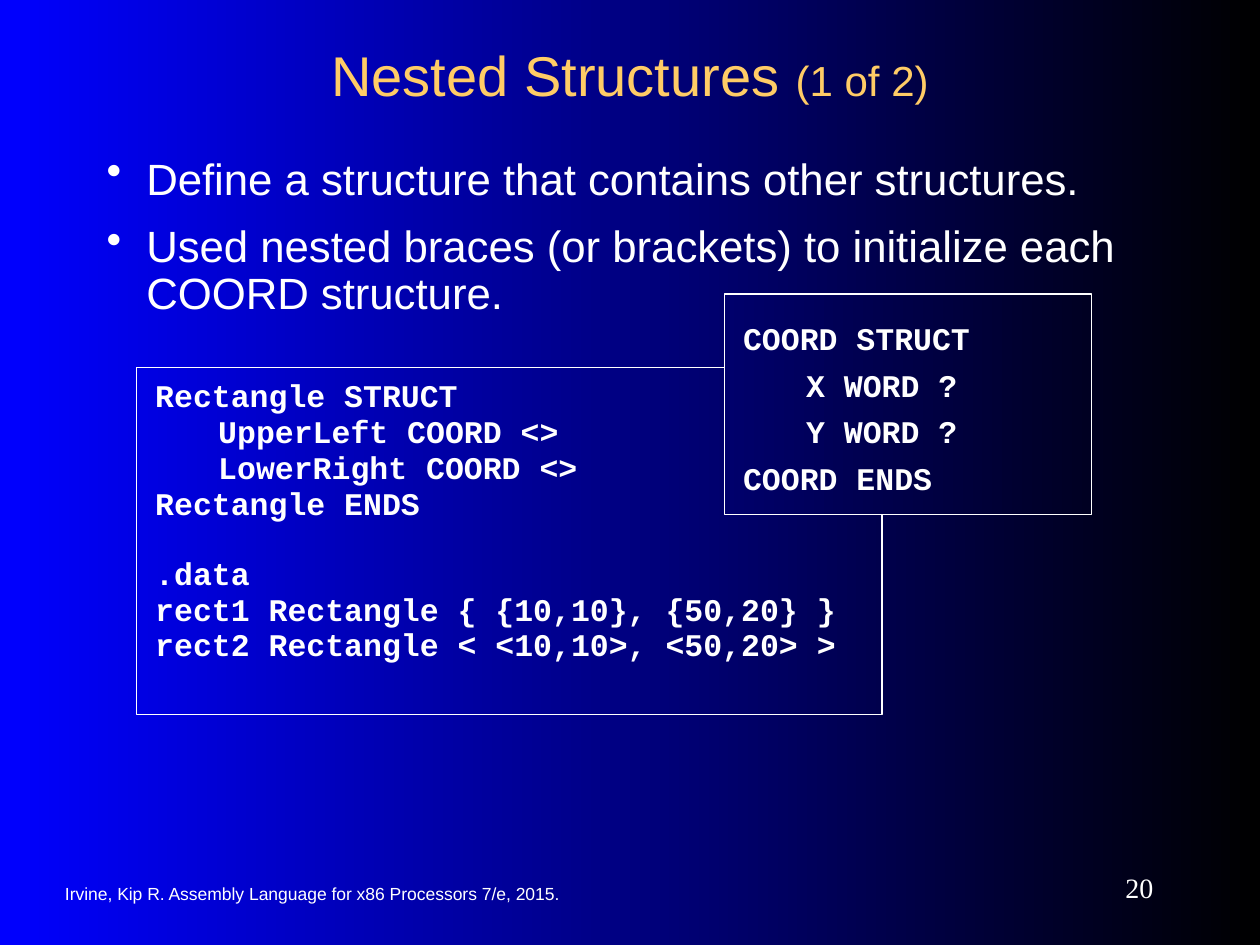
from lxml import etree
from pptx import Presentation
from pptx.dml.color import RGBColor
from pptx.enum.shapes import MSO_SHAPE
from pptx.enum.text import MSO_ANCHOR, MSO_AUTO_SIZE, PP_ALIGN
from pptx.oxml.ns import qn
from pptx.util import Cm, Pt

RECTANGLE = MSO_SHAPE.RECTANGLE
TOP, MIDDLE = MSO_ANCHOR.TOP, MSO_ANCHOR.MIDDLE
LEFT, CENTER, RIGHT = PP_ALIGN.LEFT, PP_ALIGN.CENTER, PP_ALIGN.RIGHT
NO_AUTOFIT = MSO_AUTO_SIZE.NONE
WHITE, GOLD = "FFFFFF", "FFCC66"


def color(hex_string):
    return RGBColor.from_string(hex_string)


def add_run(paragraph, text, size, font_name, hex_string, bold=False):
    run = paragraph.add_run()
    run.text = text
    run.font.size = Pt(size)
    run.font.name = font_name
    run.font.bold = bold
    run.font.color.rgb = color(hex_string)


prs = Presentation()
prs.slide_width, prs.slide_height = Cm(25.4), Cm(19.05)
slide = prs.slides.add_slide(prs.slide_layouts[5])

backdrop = slide.background.fill
backdrop.gradient()
backdrop.gradient_angle = 0
for stop, shade in zip(backdrop.gradient_stops, ("0000FF", "000000")):
    stop.color.rgb = color(shade)

title = slide.shapes.title
title.left, title.top, title.width, title.height = Cm(1.9), Cm(0.64), Cm(21.6), Cm(1.7)
title.text_frame.auto_size = NO_AUTOFIT
title.text_frame.vertical_anchor = MIDDLE
heading = title.text_frame.paragraphs[0]
heading.alignment = CENTER
add_run(heading, "Nested Structures ", 32, "Arial", GOLD)
add_run(heading, "(1 of 2)", 24, "Arial", GOLD)

small_print = [
    ("Irvine, Kip R. Assembly Language for x86 Processors 7/e, 2015.",
     1.06, 17.6, 12.06, 0.84, LEFT, 10, "Arial"),
    ("20", 20.75, 17.35, 2.75, 1.06, RIGHT, 16, "Times New Roman"),
]
for text, left, top, width, height, alignment, size, font_name in small_print:
    frame = slide.shapes.add_textbox(Cm(left), Cm(top), Cm(width), Cm(height)).text_frame
    frame.word_wrap = True
    frame.vertical_anchor = MIDDLE
    frame.paragraphs[0].alignment = alignment
    add_run(frame.paragraphs[0], text, size, font_name, WHITE)

points = [
    ("Define a structure that contains other structures.", 0.7, 0),
    ("Used nested braces (or brackets) to initialize each COORD structure.", 0.9, 12.5),
]
body = slide.shapes.add_textbox(Cm(1.9), Cm(2.96), Cm(21.39), Cm(3.94)).text_frame
body.word_wrap = True
body.margin_top = body.margin_bottom = Cm(0.38)
for index, (text, line_spacing, space_before) in enumerate(points):
    point = body.add_paragraph() if index else body.paragraphs[0]
    properties = point._p.get_or_add_pPr()
    properties.set("marL", str(Cm(0.8)))
    properties.set("indent", str(-Cm(0.8)))
    etree.SubElement(properties, qn("a:buChar")).set("char", "•")
    point.line_spacing = line_spacing
    point.space_before = Pt(space_before)
    add_run(point, text, 25, "Arial", WHITE)

rectangle_code = [
    ("Rectangle STRUCT", 0),
    ("\tUpperLeft COORD <>", 9.6),
    ("\tLowerRight COORD <>", 9.6),
    ("Rectangle ENDS", 9.6),
    (".data", 29.4),
    ("rect1 Rectangle { {10,10}, {50,20} }", 9.6),
    ("rect2 Rectangle < <10,10>, <50,20> >", 9.6),
]
coord_code = [
    ("COORD STRUCT", 0),
    ("\tX WORD ?", 4.9),
    ("\tY WORD ?", 4.9),
    ("COORD ENDS", 4.9),
]
listings = [
    (rectangle_code, 2.75, 7.41, 15.03, 6.99, 0.5, None),
    (coord_code, 14.6, 5.93, 7.41, 4.45, 1.0, ("00006C", "000022")),
]
for code, left, top, width, height, line_spacing, shades in listings:
    listing = slide.shapes.add_shape(RECTANGLE, Cm(left), Cm(top), Cm(width), Cm(height))
    listing.shadow.inherit = False
    listing.line.color.rgb = color(WHITE)
    listing.line.width = Pt(0.75)
    if shades:
        listing.fill.gradient()
        listing.fill.gradient_angle = 0
        for stop, shade in zip(listing.fill.gradient_stops, shades):
            stop.color.rgb = color(shade)
    else:
        listing.fill.background()
    frame = listing.text_frame
    frame.word_wrap = True
    frame.vertical_anchor = TOP
    frame.margin_left = frame.margin_right = Cm(0.38)
    frame.margin_top = frame.margin_bottom = Cm(0.51)
    for index, (text, space_before) in enumerate(code):
        code_line = frame.add_paragraph() if index else frame.paragraphs[0]
        tabs = etree.SubElement(code_line._p.get_or_add_pPr(), qn("a:tabLst"))
        etree.SubElement(tabs, qn("a:tab"), pos=str(Cm(1.27)), algn="l")
        code_line.alignment = LEFT
        code_line.line_spacing = line_spacing
        code_line.space_before = Pt(space_before)
        add_run(code_line, text, 18, "Courier New", WHITE, True)

prs.save("out.pptx")
